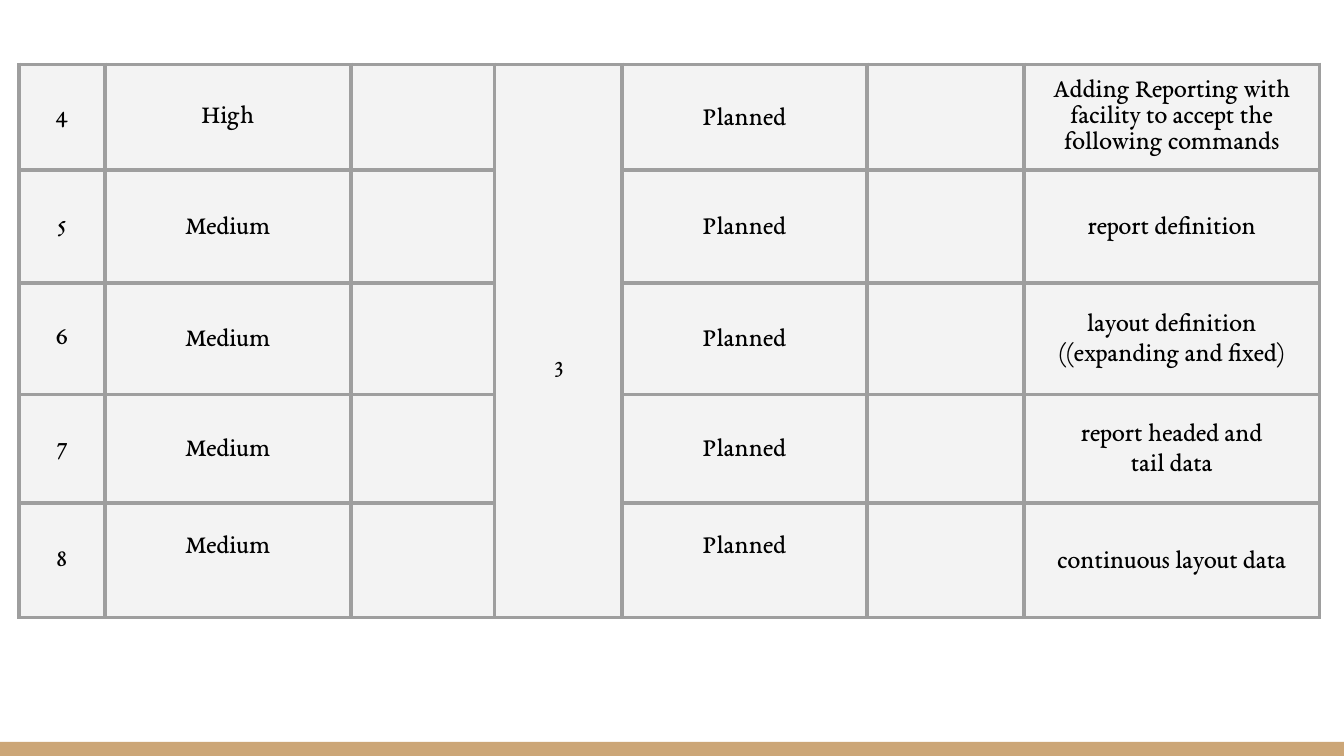
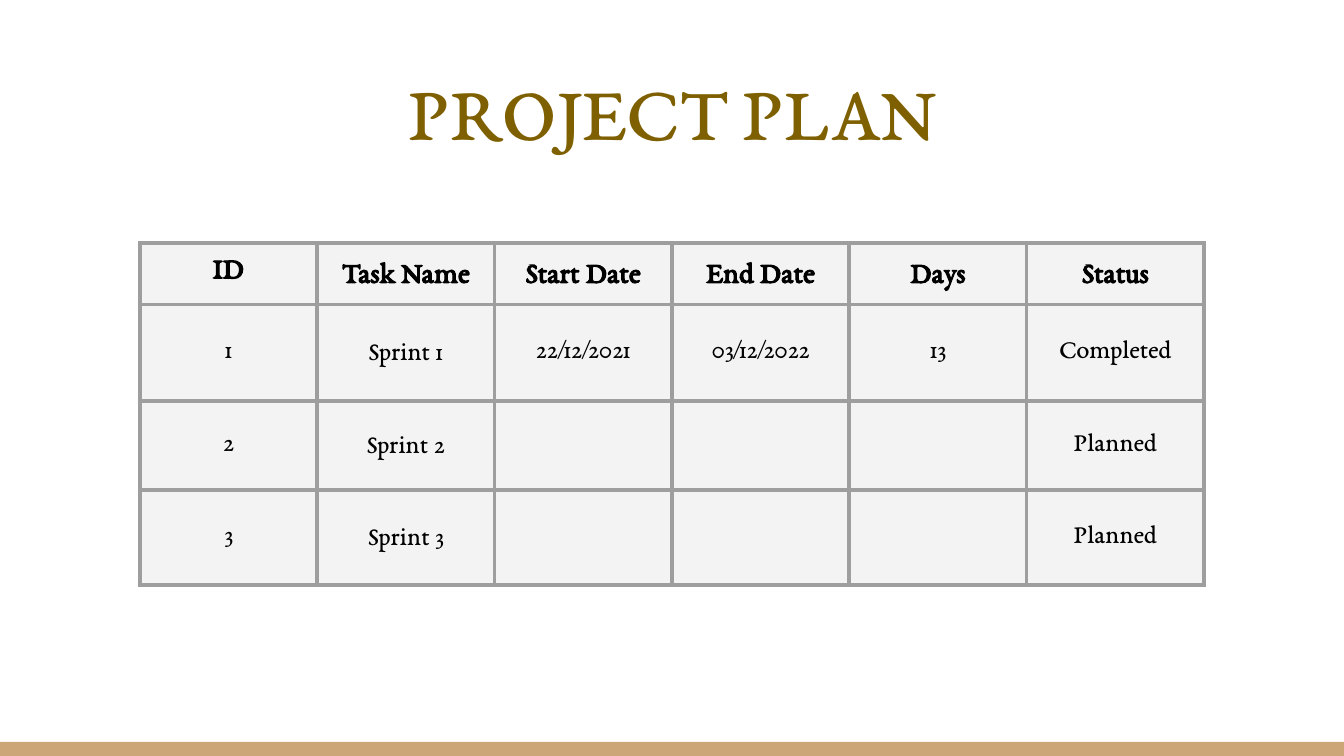
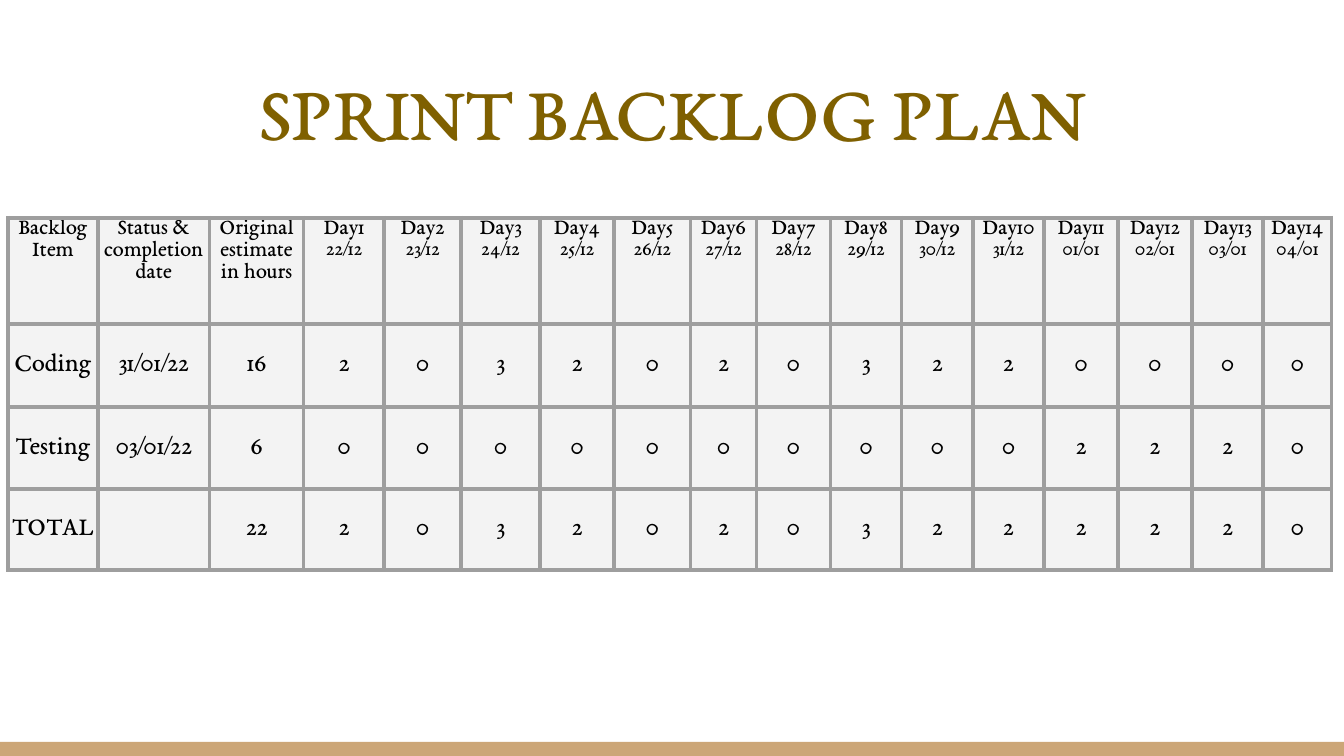
from dataclasses import dataclass

from pptx import Presentation
from pptx.dml.color import RGBColor
from pptx.enum.shapes import MSO_SHAPE
from pptx.enum.text import MSO_ANCHOR as Anchor, PP_ALIGN as Align
from pptx.oxml import parse_xml
from pptx.oxml.ns import nsdecls
from pptx.util import Inches, Pt


@dataclass(frozen=True)
class Theme:
    font: str = "EB Garamond"
    ink: str = "000000"
    title_color: str = "7F6000"
    band_color: str = "CCA677"
    cell_fill: str = "F3F3F3"
    border_color: str = "9E9E9E"
    border_width: float = 2.25
    title_size: int = 42
    heading_size: int = 16
    body_size: int = 14
    label_size: int = 12
    date_size: int = 11
    loose_spacing: float = 1.15
    inset: float = 0.1


THEME = Theme()
WIDTH = 10
HEIGHT = WIDTH * 9 / 16
BAND_BOX = (0, 5.52, WIDTH, 0.11)
TITLE_BOX = (0.34, 0.35, 9.32, 0.91)
TITLE_ONLY, BLANK = 5, 6


def format_paragraph(paragraph, size, color=THEME.ink, bold=False, spacing=None):
    paragraph.alignment = Align.CENTER
    if spacing:
        paragraph.line_spacing = spacing
    for run in paragraph.runs:
        run.font.name = THEME.font
        run.font.size = Pt(size)
        run.font.bold = bold
        run.font.color.rgb = RGBColor.from_string(color)


def set_insets(frame, inset):
    frame.margin_left = frame.margin_right = Inches(inset)
    frame.margin_top = frame.margin_bottom = Inches(inset)


def add_master_band(presentation, slide, box):
    band = slide.shapes.add_shape(MSO_SHAPE.RECTANGLE, *map(Inches, box))
    band.shadow.inherit = False
    band.fill.solid()
    band.fill.fore_color.rgb = RGBColor.from_string(THEME.band_color)
    band.line.fill.background()
    band.element.nvSpPr.cNvPr.id = 20
    presentation.slide_master.shapes.element.insert(2, band.element)


def add_title(slide, text, box):
    title = slide.shapes.title
    title.left, title.top, title.width, title.height = map(Inches, box)
    frame = title.text_frame
    frame.text = text
    frame.vertical_anchor = Anchor.BOTTOM
    set_insets(frame, THEME.inset)
    format_paragraph(frame.paragraphs[0], THEME.title_size, THEME.title_color)


def style_cell(cell, inset):
    properties = cell._tc.get_or_add_tcPr()
    for side in "LRTB":
        properties.append(parse_xml(
            f'<a:ln{side} {nsdecls("a")} w="{Pt(THEME.border_width)}"><a:solidFill>'
            f'<a:srgbClr val="{THEME.border_color}"/></a:solidFill></a:ln{side}>'))
    cell.fill.solid()
    cell.fill.fore_color.rgb = RGBColor.from_string(THEME.cell_fill)
    cell.vertical_anchor = Anchor.MIDDLE
    set_insets(cell, inset)


def add_grid(slide, left, top, widths, heights, rows, inset=THEME.inset,
             is_loose=lambda row, column: False):
    frame = slide.shapes.add_table(
        len(heights), len(widths), Inches(left), Inches(top),
        Inches(sum(widths)), Inches(sum(heights)))
    table = frame.table
    table.first_row = table.horz_banding = False
    for column, width in zip(table.columns, widths):
        column.width = Inches(width)
    for row, height in zip(table.rows, heights):
        row.height = Inches(height)
    for row_index, values in enumerate(rows):
        for column_index, value in enumerate(values):
            cell = table.cell(row_index, column_index)
            style_cell(cell, inset)
            if value == "":
                continue
            cell.text_frame.text = str(value)
            spacing = THEME.loose_spacing if is_loose(row_index, column_index) else None
            for paragraph in cell.text_frame.paragraphs:
                format_paragraph(paragraph, THEME.body_size, spacing=spacing)
    return table


def add_product_backlog(slide, left, top):
    items = [
        (4, "High", "Adding Reporting with facility to accept the following commands"),
        (5, "Medium", "report definition"),
        (6, "Medium", "layout definition ((expanding and fixed)"),
        (7, "Medium", "report headed and\ntail data"),
        (8, "Medium", "continuous layout data"),
    ]
    sprint_column = 3
    rows = [(number, priority, "", "" if index else 3, "Planned", "", story)
            for index, (number, priority, story) in enumerate(items)]
    table = add_grid(
        slide, left, top, (0.64, 1.83, 1.07, 0.95, 1.82, 1.17, 2.2),
        (0.78, 0.84, 0.83, 0.81, 0.85), rows,
        is_loose=lambda row, column: column == 4 or (row > 0 and column in (1, 6)))
    last = len(rows) - 1
    sprint = table.cell(0, sprint_column)
    sprint.merge(table.cell(last, sprint_column))
    sprint.margin_top = Inches(0.5)
    for column in (1, 4):
        table.cell(last, column).margin_bottom = Inches(0.32)


def add_project_plan(slide, left, top):
    rows = [
        ("ID", "Task Name", "Start Date", "End Date", "Days", "Status"),
        (1, "Sprint 1", "22/12/2021", "03/12/2022", 13, "Completed"),
        (2, "Sprint 2", "", "", "", "Planned"),
        (3, "Sprint 3", "", "", "", "Planned"),
    ]
    table = add_grid(
        slide, left, top, [1.32] * 6, (0.42, 0.72, 0.66, 0.71), rows,
        is_loose=lambda row, column: column == 1 or (row == 0 and column > 0))
    for cell in table.rows[0].cells:
        cell.vertical_anchor = Anchor.TOP
        format_paragraph(cell.text_frame.paragraphs[0], THEME.heading_size, bold=True)


def add_sprint_backlog(slide, left, top):
    dates = [f"{day}/12" for day in range(22, 32)] + [f"{day:02}/01" for day in range(1, 5)]
    headings = ["Backlog Item", "Status & completion date", "Original estimate in hours"]
    headings += [f"Day{number}\n{date}" for number, date in enumerate(dates, 1)]
    coding = [16, 2, 0, 3, 2, 0, 2, 0, 3, 2, 2, 0, 0, 0, 0]
    testing = [6] + [0] * 10 + [2, 2, 2, 0]
    totals = [sum(hours) for hours in zip(coding, testing)]
    rows = [
        headings,
        ["Coding", "31/01/22", *coding],
        ["Testing", "03/01/22", *testing],
        ["TOTAL", "", *totals],
    ]
    widths = (0.67, 0.83, 0.7, 0.6, 0.57, 0.59, 0.55, 0.57, 0.49,
              0.55, 0.53, 0.53, 0.53, 0.55, 0.55, 0.53, 0.51)
    table = add_grid(slide, left, top, widths, (0.79, 0.62, 0.61, 0.6), rows, inset=0)
    for cell in table.rows[0].cells:
        cell.vertical_anchor = Anchor.TOP
        sizes = (THEME.label_size, THEME.date_size)
        for paragraph, size in zip(cell.text_frame.paragraphs, sizes):
            format_paragraph(paragraph, size)


def main():
    presentation = Presentation()
    presentation.slide_width, presentation.slide_height = Inches(WIDTH), Inches(HEIGHT)
    layouts = presentation.slide_layouts

    backlog_slide = presentation.slides.add_slide(layouts[BLANK])
    add_master_band(presentation, backlog_slide, BAND_BOX)
    add_product_backlog(backlog_slide, 0.14, 0.48)

    plan_slide = presentation.slides.add_slide(layouts[TITLE_ONLY])
    add_title(plan_slide, "PROJECT PLAN", TITLE_BOX)
    add_project_plan(plan_slide, 1.04, 1.81)

    sprint_slide = presentation.slides.add_slide(layouts[TITLE_ONLY])
    add_title(sprint_slide, "SPRINT BACKLOG PLAN", TITLE_BOX)
    add_sprint_backlog(sprint_slide, 0.06, 1.62)

    presentation.save("out.pptx")


if __name__ == "__main__":
    main()
